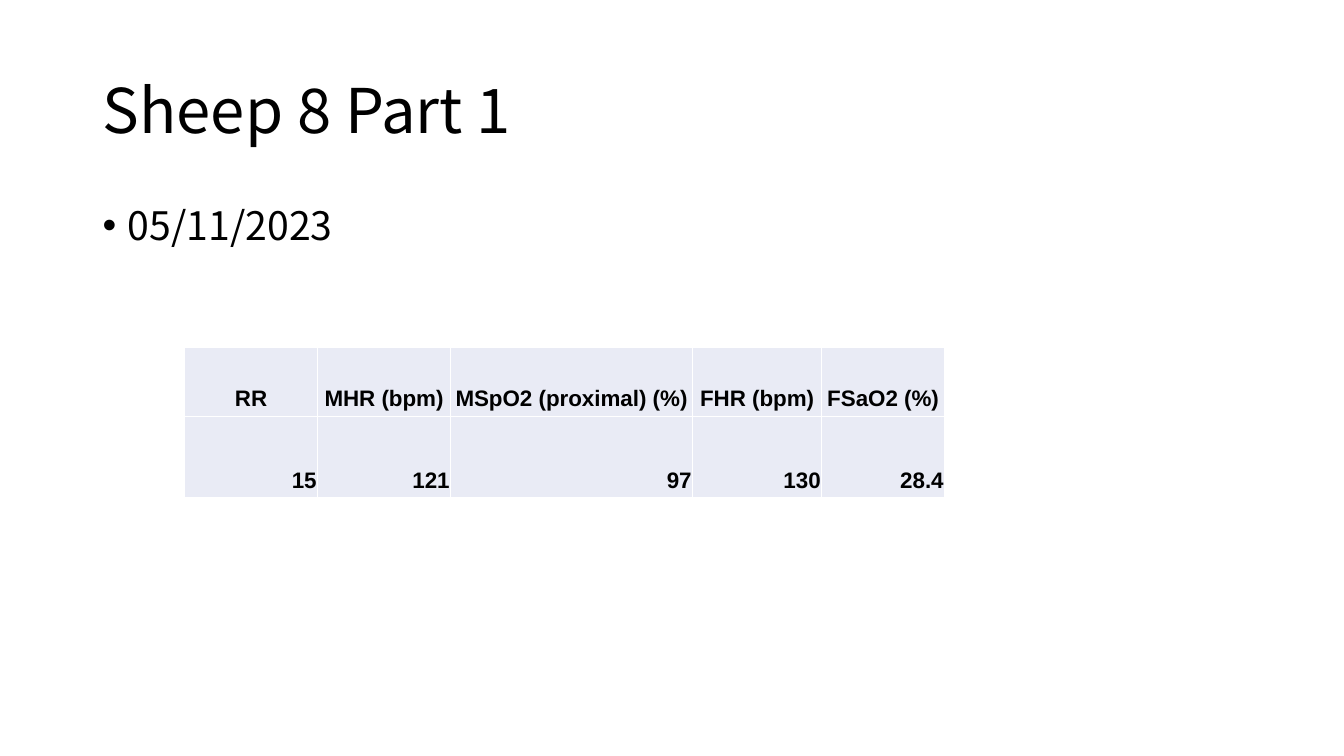
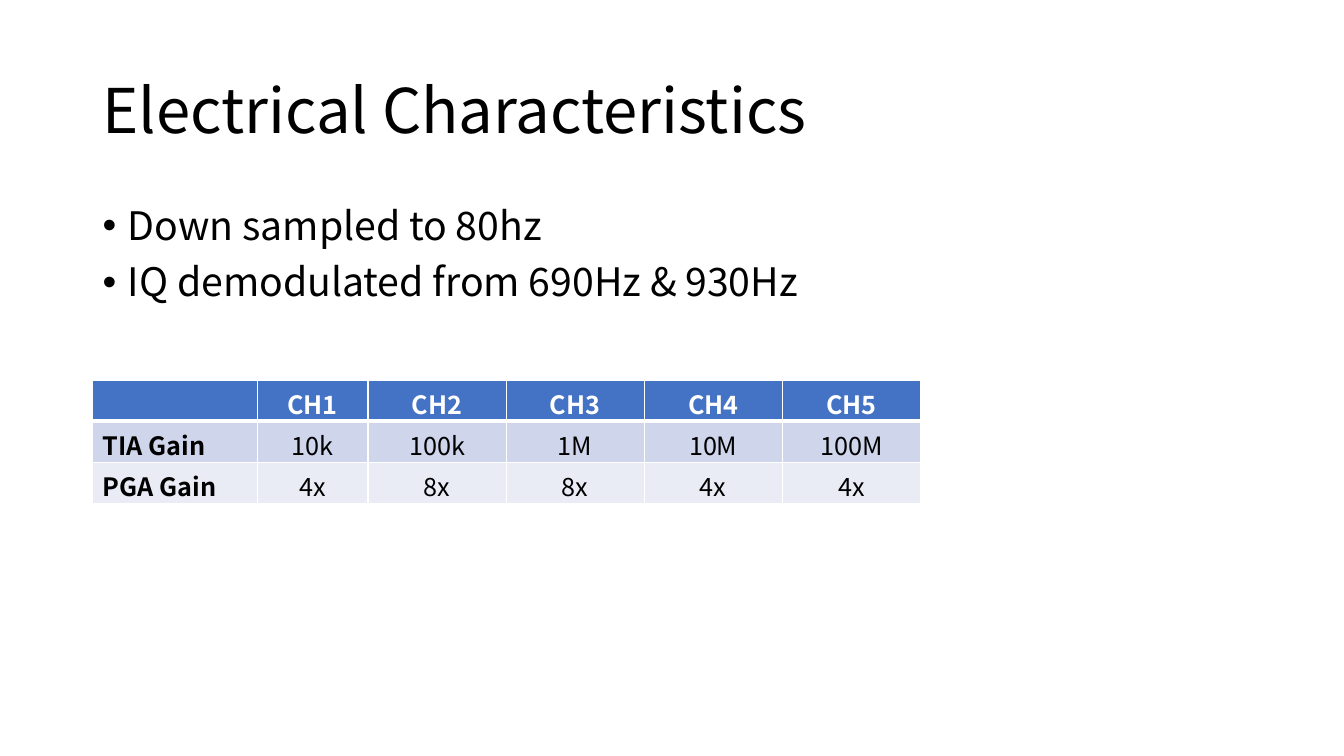
"""Build two slides, each with a title, a bullet list and a table."""
from lxml import etree
from pptx import Presentation
from pptx.dml.color import RGBColor
from pptx.enum.text import MSO_ANCHOR, PP_ALIGN
from pptx.oxml.ns import qn
from pptx.util import Pt

LEFT, CENTER, RIGHT = PP_ALIGN.LEFT, PP_ALIGN.CENTER, PP_ALIGN.RIGHT
TOP, MIDDLE, BOTTOM = MSO_ANCHOR.TOP, MSO_ANCHOR.MIDDLE, MSO_ANCHOR.BOTTOM

EMU_PER_PX = 9144
SLIDE_SIZE = (1333, 750)
TITLE_BOX = (92, 40, 1150, 145)
BODY_BOX = (92, 200, 1150, 476)
BULLET_INDENT = 25
BODY_FONT = "Noto Sans CJK SC"
COLORS = {
    "text": "000000",
    "white": "FFFFFF",
    "header": "4472C4",
    "band": "CFD5EA",
    "pale": "E9EBF5",
}

VITALS_TABLE = {
    "position": (183, 345),
    "columns": [132, 132, 240, 128, 122],
    "rows": [68, 81],
    "font": ("Arial", 16),
    "anchor": BOTTOM,
    "margins": (1, 1, 1, 5),
    "fills": ["pale", "pale"],
    "text_colors": ["text", "text"],
    "alignments": [[CENTER] * 5, [RIGHT] * 5],
    "bold": [[True] * 5] * 2,
    "rules": [1, 1, 1],
    "cells": [
        ["RR", "MHR (bpm)", "MSpO2 (proximal) (%)", "FHR (bpm)", "FSaO2 (%)"],
        ["15", "121", "97", "130", "28.4"],
    ],
}
GAIN_TABLE = {
    "position": (92, 377),
    "columns": [163, 110] + [137] * 4,
    "rows": [41] * 3,
    "font": (BODY_FONT, 18),
    "anchor": MIDDLE,
    "margins": (10, 5, 10, 5),
    "fills": ["header", "band", "pale"],
    "text_colors": ["white", "text", "text"],
    "alignments": [[LEFT] + [CENTER] * 5] * 3,
    "bold": [[True] * 6] + [[True] + [False] * 5] * 2,
    "rules": [1, 3, 1, 1],
    "cells": [
        ["", "CH1", "CH2", "CH3", "CH4", "CH5"],
        ["TIA Gain", "10k", "100k", "1M", "10M", "100M"],
        ["PGA Gain", "4x", "8x", "8x", "4x", "4x"],
    ],
}
SLIDES = [
    ("Sheep 8 Part 1", ["05/11/2023"], VITALS_TABLE),
    (
        "Electrical Characteristics",
        ["Down sampled to 80hz", "IQ demodulated from 690Hz & 930Hz"],
        GAIN_TABLE,
    ),
]


def px(length):
    return length * EMU_PER_PX


def style_font(paragraph, name, size, color, bold=False):
    font = paragraph.font
    font.name, font.size, font.bold = name, Pt(size), bold
    font.color.rgb = RGBColor.from_string(COLORS[color])


def add_text(slide, box, lines, size, anchor):
    frame = slide.shapes.add_textbox(*map(px, box)).text_frame
    frame.word_wrap = True
    frame.vertical_anchor = anchor
    frame.text = "\n".join(lines)
    for paragraph in frame.paragraphs:
        paragraph.line_spacing = 0.9
        style_font(paragraph, BODY_FONT, size, "text")
    return frame.paragraphs


def add_bullet(paragraph):
    paragraph.space_before = Pt(10)
    properties = paragraph._p.get_or_add_pPr()
    properties.set("marL", str(px(BULLET_INDENT)))
    properties.set("indent", str(-px(BULLET_INDENT)))
    bullet_font = etree.Element(qn("a:buFont"), typeface="Arial")
    bullet = etree.Element(qn("a:buChar"), char="•")
    default_run = properties.find(qn("a:defRPr"))
    default_run.addprevious(bullet_font)
    default_run.addprevious(bullet)


def set_borders(cell, top, bottom):
    properties = cell._tc.get_or_add_tcPr()
    sides = (("lnL", 1), ("lnR", 1), ("lnT", top), ("lnB", bottom))
    for index, (side, width) in enumerate(sides):
        line = etree.Element(qn(f"a:{side}"), w=str(Pt(width)))
        fill = etree.SubElement(line, qn("a:solidFill"))
        etree.SubElement(fill, qn("a:srgbClr"), val=COLORS["white"])
        properties.insert(index, line)


def add_table(slide, design):
    widths, heights = design["columns"], design["rows"]
    box = (*design["position"], sum(widths), sum(heights))
    table = slide.shapes.add_table(len(heights), len(widths), *map(px, box)).table
    table.horz_banding = False
    for column, width in zip(table.columns, widths):
        column.width = px(width)
    for row_index, row in enumerate(table.rows):
        row.height = px(heights[row_index])
        for column_index, cell in enumerate(row.cells):
            cell.text = design["cells"][row_index][column_index]
            cell.vertical_anchor = design["anchor"]
            (cell.margin_left, cell.margin_top,
             cell.margin_right, cell.margin_bottom) = map(px, design["margins"])
            cell.fill.solid()
            fill = COLORS[design["fills"][row_index]]
            cell.fill.fore_color.rgb = RGBColor.from_string(fill)
            set_borders(cell, *design["rules"][row_index:row_index + 2])
            paragraph = cell.text_frame.paragraphs[0]
            paragraph.alignment = design["alignments"][row_index][column_index]
            style_font(paragraph, *design["font"], design["text_colors"][row_index],
                       design["bold"][row_index][column_index])


def main():
    presentation = Presentation()
    presentation.slide_width, presentation.slide_height = map(px, SLIDE_SIZE)
    for title, bullets, table in SLIDES:
        slide = presentation.slides.add_slide(presentation.slide_layouts[6])
        add_text(slide, TITLE_BOX, [title], 44, MIDDLE)
        for paragraph in add_text(slide, BODY_BOX, bullets, 28, TOP):
            add_bullet(paragraph)
        add_table(slide, table)
    presentation.save("out.pptx")


if __name__ == "__main__":
    main()
